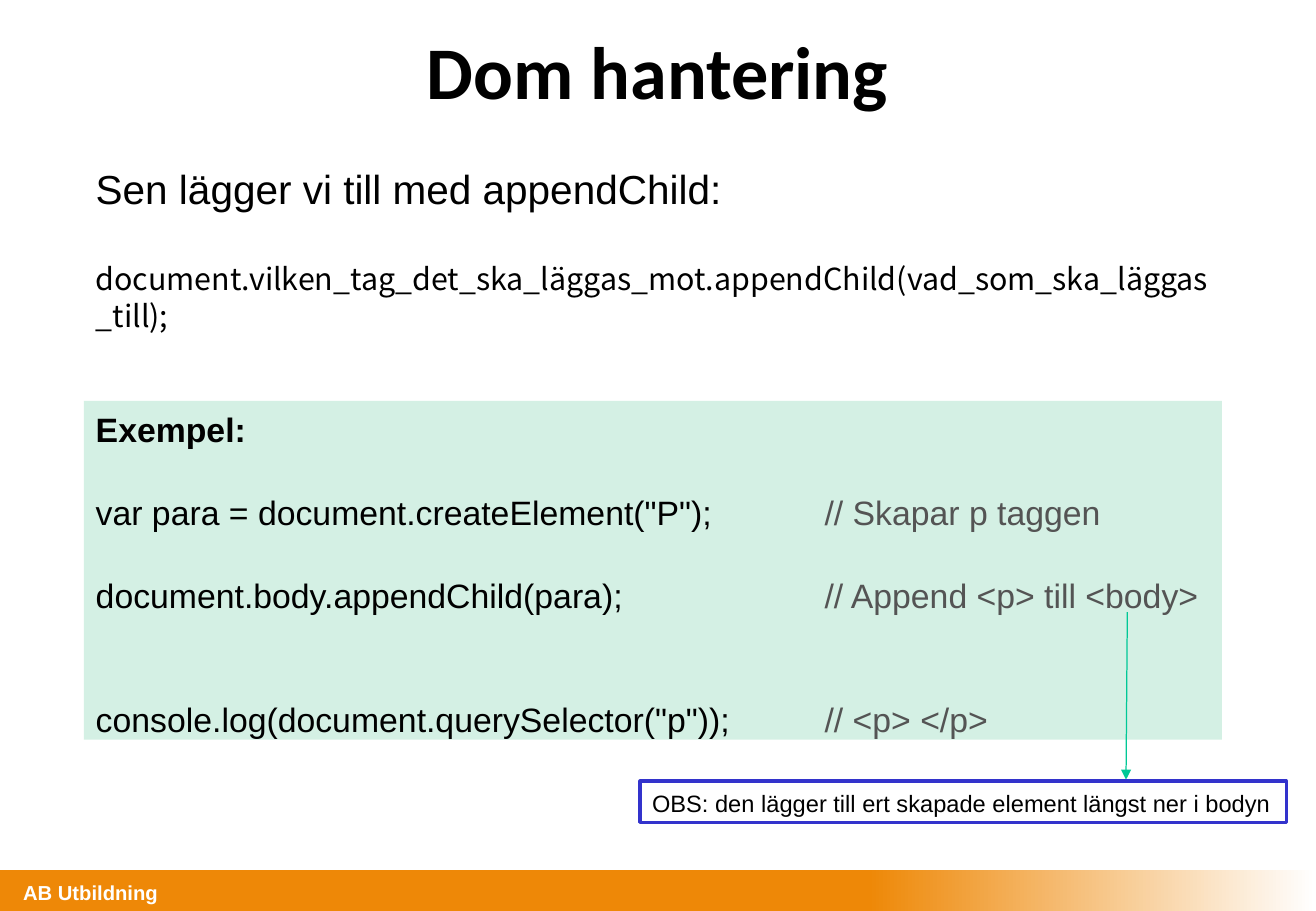
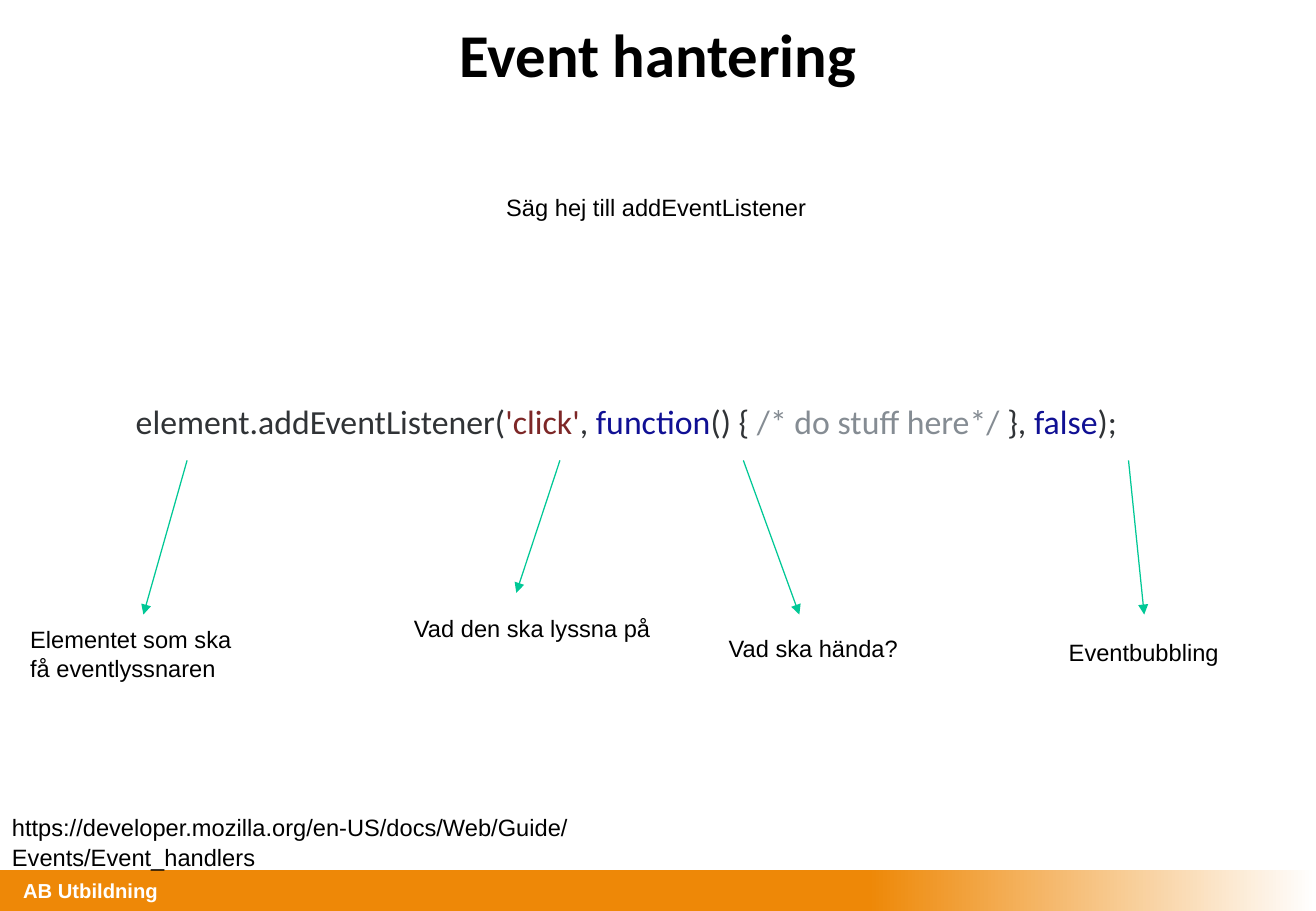
from lxml import etree
from pptx import Presentation
from pptx.dml.color import RGBColor
from pptx.enum.shapes import MSO_CONNECTOR, MSO_SHAPE
from pptx.enum.text import MSO_ANCHOR, PP_ALIGN
from pptx.oxml.ns import qn
from pptx.util import Pt

RECTANGLE = MSO_SHAPE.RECTANGLE
STRAIGHT = MSO_CONNECTOR.STRAIGHT
TOP, MIDDLE = MSO_ANCHOR.TOP, MSO_ANCHOR.MIDDLE
LEFT, CENTER = PP_ALIGN.LEFT, PP_ALIGN.CENTER

WIDTH, HEIGHT = 780, 540
BLACK, WHITE, ORANGE = "000000", "FFFFFF", "EE8807"
GREEN, MINT, BLUE, GRAY = "00C896", "AAE2CA", "3333CC", "545454"
CODE, STRING, KEYWORD, REMARK = "303336", "7D2727", "101094", "858C93"


def rgb(color):
    return RGBColor.from_string(color)


class Deck:
    """Holds the shared style and the current slide."""

    def __init__(self):
        self.presentation = Presentation()
        self.presentation.slide_width = Pt(WIDTH)
        self.presentation.slide_height = Pt(HEIGHT)
        self.slide = None

    def new_slide(self, title, title_top, title_size, footer_top):
        self.slide = self.presentation.slides.add_slide(self.presentation.slide_layouts[6])
        band = self.rectangle(0, 515.5, WIDTH, 24.5)
        band.fill.gradient()
        band.fill.gradient_angle = 0
        for stop, position, color in zip(band.fill.gradient_stops, (0.66, 1), (ORANGE, WHITE)):
            stop.position = position
            stop.color.rgb = rgb(color)
        self.text(13.7, footer_top, 250, 14.4, [[("AB Utbildning", WHITE)]],
                  size=12, bold=True, insets=(0, 0))
        self.text(35.3, title_top, 709.2, 61.9, [[(title, BLACK)]], size=title_size,
                  font="Calibri", bold=True, align=CENTER, anchor=MIDDLE, insets=(3.6, 3.6))

    def rectangle(self, left, top, width, height, fill=None, alpha=None, line=None):
        shape = self.slide.shapes.add_shape(RECTANGLE, Pt(left), Pt(top), Pt(width), Pt(height))
        shape.shadow.inherit = False
        if fill:
            shape.fill.solid()
            shape.fill.fore_color.rgb = rgb(fill)
        if alpha:
            color = next(shape._element.spPr.iter(qn("a:srgbClr")))
            etree.SubElement(color, qn("a:alpha"), val=str(alpha * 1000))
        if line:
            shape.line.color.rgb = rgb(line)
            shape.line.width = Pt(2)
        else:
            shape.line.fill.background()
        return shape

    def text(self, left, top, width, height, paragraphs, **style):
        shape = self.slide.shapes.add_textbox(Pt(left), Pt(top), Pt(width), Pt(height))
        self.fill_text(shape, paragraphs, **style)

    def fill_text(self, shape, paragraphs, size=14, font="Arial", bold=False, align=LEFT,
                  anchor=TOP, insets=(7.2, 3.6), spacing=1.05, gaps=(0,), tab=None):
        frame = shape.text_frame
        frame.word_wrap = True
        frame.vertical_anchor = anchor
        frame.margin_left = frame.margin_right = Pt(insets[0])
        frame.margin_top = frame.margin_bottom = Pt(insets[1])
        for index, runs in enumerate(paragraphs):
            paragraph = frame.paragraphs[0] if index == 0 else frame.add_paragraph()
            if tab:
                tabs = etree.SubElement(paragraph._p.get_or_add_pPr(), qn("a:tabLst"))
                etree.SubElement(tabs, qn("a:tab"), pos=str(Pt(tab)), algn="l")
            paragraph.alignment = align
            paragraph.line_spacing = spacing
            if gaps[index]:
                paragraph.space_before = Pt(gaps[index])
            for content, color, *weight in runs:
                run = paragraph.add_run()
                run.text = content
                run.font.name = font
                run.font.size = Pt(size)
                run.font.bold = weight[0] if weight else bold
                run.font.color.rgb = rgb(color)

    def arrow(self, start, end):
        connector = self.slide.shapes.add_connector(
            STRAIGHT, *(Pt(value) for value in (*start, *end)))
        connector.line.color.rgb = rgb(GREEN)
        connector.line.width = Pt(0.75)
        properties = connector._element.spPr
        etree.SubElement(properties.find(qn("a:ln")), qn("a:tailEnd"), type="triangle")
        etree.SubElement(properties, qn("a:effectLst"))


def dom_slide(deck):
    deck.new_slide("Dom hantering", 9.4, 44, 521.3)
    example = deck.rectangle(49.7, 237.6, 674.6, 200.9, fill=MINT, alpha=50)
    deck.fill_text(example, [
        [("Exempel:", BLACK, True)],
        [('var para = document.createElement("P");\t', BLACK), ("// Skapar p taggen", GRAY)],
        [("document.body.appendChild(para);\t", BLACK), ("// Append <p> till <body>", GRAY)],
        [('console.log(document.querySelector("p"));\t', BLACK), ("// <p> </p>", GRAY)],
    ], size=20, gaps=(0, 24, 24, 48), tab=432)
    deck.text(49.7, 92.2, 674.6, 36, [[("Sen lägger vi till med appendChild:", BLACK)]], size=24)
    deck.text(49.7, 150, 674.6, 51.2, [[(
        "document.vilken_tag_det_ska_läggas_mot.appendChild(vad_som_ska_läggas_till);", BLACK)]],
        size=18, font="Noto Sans CJK SC", spacing=Pt(22))
    deck.arrow((668.2, 362.9), (667.4, 462.2))
    note = deck.rectangle(379.4, 463, 383, 24.5, fill=WHITE, line=BLUE)
    deck.fill_text(note, [[("OBS: den lägger till ert skapade element längst ner i bodyn", BLACK)]])


def event_slide(deck):
    deck.new_slide("Event hantering", -0.7, 36, 519.8)
    deck.text(0, 477.4, 390, 41, [[(
        "https://developer.mozilla.org/en-US/docs/Web/Guide/Events/Event_handlers", BLACK)]])
    deck.text(73.4, 234, 691.2, 31.7, [[
        ("element.addEventListener(", CODE), ("'click'", STRING), (", ", CODE),
        ("function", KEYWORD), ("() { ", CODE), ("/* do stuff here*/", REMARK),
        (" }, ", CODE), ("false", KEYWORD), (");", CODE)]],
        size=20, font="Calibri", spacing=1.0)
    deck.text(293, 110.2, 200, 24.5, [[("Säg hej till addEventListener", BLACK)]])
    explanations = [
        ("Elementet som ska få eventlyssnaren", 10.8, 365.8, 147.6, 41, 110.9, (85, 364.3)),
        ("Vad den ska lyssna på", 238.3, 359.3, 162.7, 24.5, 331.9, (306, 351.4)),
        ("Vad ska hända?", 424.8, 371.5, 162.7, 24.5, 440.6, (473.8, 364.3)),
        ("Eventbubbling", 626.4, 373.7, 162.7, 24.5, 668.9, (678.2, 364.3)),
    ]
    for label, left, top, width, height, arrow_left, arrow_end in explanations:
        deck.arrow((arrow_left, 272.9), arrow_end)
        deck.text(left, top, width, height, [[(label, BLACK)]])


def main():
    deck = Deck()
    dom_slide(deck)
    event_slide(deck)
    deck.presentation.save("out.pptx")


if __name__ == "__main__":
    main()
